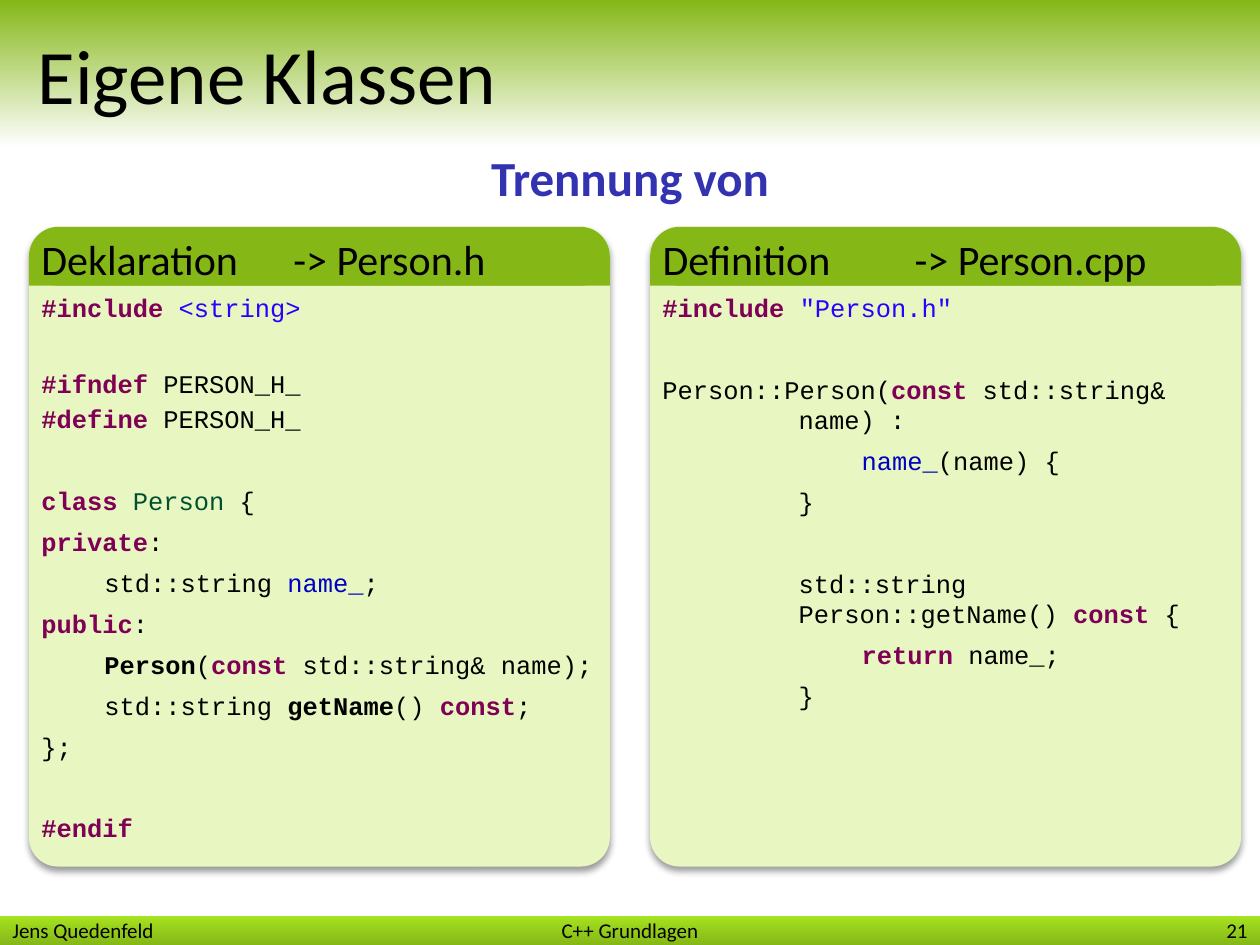
from collections import namedtuple

from lxml.etree import SubElement
from pptx import Presentation
from pptx.dml.color import RGBColor as Rgb
from pptx.enum.shapes import MSO_SHAPE as Preset
from pptx.enum.text import MSO_ANCHOR as Anchor, PP_ALIGN as Align
from pptx.oxml.ns import qn
from pptx.util import Inches, Pt

COLORS = {
    "green": "85B717", "lime": "A6E31F", "pale": "E8F7C1", "white": "FFFFFF",
    "black": "000000", "heading": "3333B2", "keyword": "7F0055",
    "string": "2A00FF", "class": "005032", "member": "0000C0",
}
SLIDE_W, SLIDE_H = Inches(10), Inches(7.5)
CODE_SIZE, LINE_GAP, BLANK_LINE = 14.5, 6, 23.4
TAB, HANG, HEADER_TAB = Inches(0.49), Inches(1.08), Inches(2)

Box = namedtuple("Box", "left top width height")
Line = namedtuple("Line", "tokens before margin hang spacing",
                  defaults=(LINE_GAP, 0, 0, None))

DECLARATION = [
    Line([("#include ", "keyword"), ("<string>", "string")]),
    Line([("#ifndef", "keyword"), (" PERSON_H_", "plain")], BLANK_LINE, spacing=1.15),
    Line([("#define", "keyword"), (" PERSON_H_", "plain")], 0, spacing=1.15),
    Line([("class ", "keyword"), ("Person", "class"), (" {", "plain")],
         LINE_GAP + BLANK_LINE),
    Line([("private", "keyword"), (":", "plain")]),
    Line([("\tstd::string ", "plain"), ("name_", "member"), (";", "plain")]),
    Line([("public", "keyword"), (":", "plain")]),
    Line([("\t", "plain"), ("Person", "strong"), ("(", "plain"),
          ("const ", "keyword"), ("std::string& name);", "plain")]),
    Line([("\tstd::string ", "plain"), ("getName", "strong"), ("() ", "plain"),
          ("const", "keyword"), (";", "plain")]),
    Line([("};", "plain")]),
    Line([("#endif", "keyword")], LINE_GAP + BLANK_LINE),
]
DEFINITION = [
    Line([("#include ", "keyword"), ('"Person.h"', "string")]),
    Line([("Person::Person(", "plain"), ("const ", "keyword"),
          ("std::string& name) :", "plain")],
         LINE_GAP + BLANK_LINE, HANG, -HANG),
    Line([("\t", "plain"), ("name_", "member"), ("(name) {", "plain")], margin=HANG),
    Line([("}", "plain")], margin=HANG),
    Line([("std::string Person::getName() ", "plain"), ("const", "keyword"),
          (" {", "plain")], LINE_GAP + BLANK_LINE, HANG),
    Line([("\t", "plain"), ("return ", "keyword"), ("name_;", "plain")], margin=HANG),
    Line([("}", "plain")], margin=HANG),
]


def share(left, top, width, height):
    return Box(int(SLIDE_W * left / 100), int(SLIDE_H * top / 100),
               int(SLIDE_W * width / 100), int(SLIDE_H * height / 100))


def color(name):
    return Rgb.from_string(COLORS[name])


def add_block(slide, preset, box, *fills, radius=None):
    block = slide.shapes.add_shape(preset, *box)
    block.shadow.inherit = False
    block.line.fill.background()
    if len(fills) == 1:
        block.fill.solid()
        block.fill.fore_color.rgb = color(fills[0])
    else:
        block.fill.gradient()
        block.fill.gradient_angle = 270
        for stop, name in zip(block.fill.gradient_stops, fills):
            stop.color.rgb = color(name)
    if radius is not None:
        block.adjustments[0] = radius
    return block


def add_frame(slide, box, anchor=Anchor.TOP):
    frame = slide.shapes.add_textbox(*box).text_frame
    frame.word_wrap = True
    frame.vertical_anchor = anchor
    return frame


def add_label(slide, box, text, size, align=Align.LEFT, anchor=Anchor.MIDDLE,
              tone="black", bold=False):
    frame = add_frame(slide, box, anchor)
    label = frame.paragraphs[0]
    label.text, label.alignment = text, align
    label.font.name, label.font.size, label.font.bold = "Calibri", Pt(size), bold
    label.font.color.rgb = color(tone)
    return frame


def add_tab(paragraph, position):
    tabs = SubElement(paragraph._p.get_or_add_pPr(), qn("a:tabLst"))
    SubElement(tabs, qn("a:tab"), pos=str(position), algn="l")


def add_drop_shadow(card):
    effects = card._element.spPr.find(qn("a:effectLst"))
    shadow = SubElement(effects, qn("a:outerShdw"), blurRad=str(Pt(4)),
                        dist=str(Pt(3)), dir=str(80 * 60000), rotWithShape="0")
    tint = SubElement(shadow, qn("a:srgbClr"), val=COLORS["black"])
    SubElement(tint, qn("a:alpha"), val="40000")


def add_code(slide, box, lines):
    frame = add_frame(slide, box)
    for index, line in enumerate(lines):
        row = frame.add_paragraph() if index else frame.paragraphs[0]
        row.space_before = Pt(line.before)
        if line.spacing:
            row.line_spacing = line.spacing
        add_tab(row, TAB)
        row._p.pPr.set("marL", str(line.margin))
        row._p.pPr.set("indent", str(line.hang))
        row.font.name, row.font.size = "Courier New", Pt(CODE_SIZE)
        for text, style in line.tokens:
            token = row.add_run()
            token.text = text
            token.font.bold = style in ("keyword", "strong")
            token.font.color.rgb = color(style if style in COLORS else "black")


def add_code_card(slide, box, header, lines, code_width):
    bar = box._replace(height=int(box.height * 0.092))
    half = bar.height // 2
    card = add_block(slide, Preset.ROUNDED_RECTANGLE, box, "pale", radius=0.05)
    add_drop_shadow(card)
    add_block(slide, Preset.RECTANGLE,
              bar._replace(top=bar.top + half, height=half), "green")
    add_block(slide, Preset.ROUNDED_RECTANGLE, bar, "green", radius=0.5)
    title = add_label(slide, bar, header, 24, anchor=Anchor.TOP)
    add_tab(title.paragraphs[0], HEADER_TAB)
    add_code(slide, Box(box.left, box.top + bar.height, code_width,
                        box.height - bar.height), lines)


def add_header(slide, box):
    add_block(slide, Preset.RECTANGLE, box, "green", "white")
    title = add_label(slide, box, "Eigene Klassen", 44)
    title.margin_left = Inches(0.3)


def add_footer(slide, box):
    add_block(slide, Preset.RECTANGLE, box, "lime", "green")
    for text, align in (("Jens Quedenfeld", Align.LEFT),
                        ("C++ Grundlagen", Align.CENTER), ("21", Align.RIGHT)):
        add_label(slide, box, text, 12, align)


def main():
    deck = Presentation()
    deck.slide_width, deck.slide_height = SLIDE_W, SLIDE_H
    slide = deck.slides.add_slide(deck.slide_layouts[6])
    add_footer(slide, share(0, 96.9, 100, 3.1))
    add_header(slide, share(0, 0, 100, 15.6))
    add_label(slide, share(0, 15.6, 100, 6.3), "Trennung von", 28,
              Align.CENTER, tone="heading", bold=True)
    left_card, right_card = share(2.3, 24, 46.1, 67.7), share(51.6, 24, 46.9, 67.7)
    add_code_card(slide, left_card, "Deklaration\t-> Person.h", DECLARATION,
                  left_card.width)
    add_code_card(slide, right_card, "Definition\t-> Person.cpp", DEFINITION,
                  int(SLIDE_W * 0.477))
    deck.save("out.pptx")


if __name__ == "__main__":
    main()
